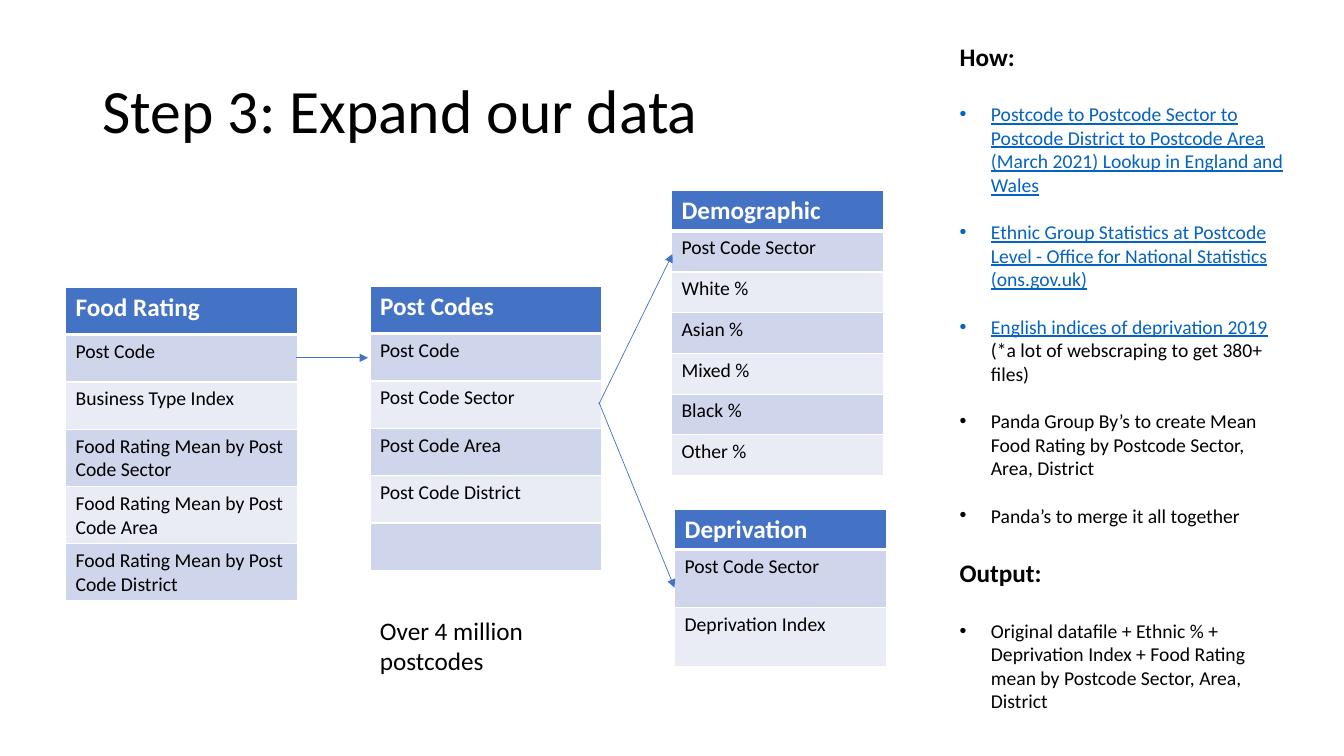
"""Build the slide that shows how the food rating data is expanded."""
from dataclasses import dataclass

from lxml import etree
from pptx import Presentation
from pptx.dml.color import RGBColor
from pptx.enum.shapes import MSO_CONNECTOR
from pptx.enum.text import MSO_ANCHOR
from pptx.oxml.ns import qn
from pptx.util import Inches, Pt

BLACK = RGBColor(0x00, 0x00, 0x00)
WHITE = RGBColor(0xFF, 0xFF, 0xFF)
BLUE = RGBColor(0x44, 0x72, 0xC4)
LINK = RGBColor(0x05, 0x63, 0xC1)
BANDS = (RGBColor(0xCF, 0xD5, 0xEA), RGBColor(0xE9, 0xEB, 0xF5))
FONT = "Calibri"
STRAIGHT = MSO_CONNECTOR.STRAIGHT
MIDDLE = MSO_ANCHOR.MIDDLE
TOP = MSO_ANCHOR.TOP


@dataclass(frozen=True)
class Span:
    text: str
    size: int = 14
    color: RGBColor = BLACK
    bold: bool = False
    underline: bool = False


@dataclass(frozen=True)
class Para:
    spans: tuple[Span, ...]
    space_before: float = 0
    bullet: bool = False
    line_spacing: float = 1


@dataclass(frozen=True)
class TextBlock:
    left: float
    top: float
    width: float
    height: float
    paras: tuple[Para, ...]
    anchor: MSO_ANCHOR = TOP


@dataclass(frozen=True)
class DataTable:
    left: float
    top: float
    width: float
    header_height: float
    row_height: float
    name: str
    fields: tuple[str, ...]


@dataclass(frozen=True)
class Arrow:
    start: tuple[float, float]
    end: tuple[float, float]


def heading(text: str, space_before: float = 0) -> Para:
    """Return a bold heading paragraph."""
    return Para((Span(text, 18, bold=True),), space_before)


def item(*spans: Span, space_before: float = 17) -> Para:
    """Return a bulleted paragraph."""
    return Para(spans, space_before, bullet=True)


def link(text: str) -> Span:
    """Return a span styled as a source reference."""
    return Span(text, color=LINK, underline=True)


TEXT_BLOCKS = (
    TextBlock(0.92, 0.4, 11.5, 1.45,
              (Para((Span("Step 3: Expand our data", 44),), line_spacing=0.9),), MIDDLE),
    TextBlock(9.42, 0.36, 3.44, 6.93, (
        heading("How:"),
        item(link("Postcode to Postcode Sector to Postcode District to Postcode Area "
                  "(March 2021) Lookup in England and Wales"), space_before=22),
        item(link("Ethnic Group Statistics at Postcode Level - "
                  "Office for National Statistics (ons.gov.uk)")),
        item(link("English indices of deprivation 2019"),
             Span(" (*a lot of webscraping to get 380+ files)")),
        item(Span("Panda Group By’s to create Mean Food Rating by Postcode Sector, "
                  "Area, District")),
        item(Span("Panda’s to merge it all together")),
        heading("Output:", 22),
        item(Span("Original datafile + Ethnic % + Deprivation Index + Food Rating mean "
                  "by Postcode Sector, Area, District"), space_before=22),
    )),
    TextBlock(3.67, 6.05, 2.27, 0.71, (Para((Span("Over 4 million postcodes", 18),)),)),
)

TABLES = (
    DataTable(3.67, 2.84, 2.3, 0.47, 0.47, "Post Codes",
              ("Post Code", "Post Code Sector", "Post Code Area", "Post Code District", "")),
    DataTable(6.66, 1.89, 2.1, 2.83 / 7, 2.83 / 7, "Demographic",
              ("Post Code Sector", "White %", "Asian %", "Mixed %", "Black %", "Other %")),
    DataTable(6.69, 5.05, 2.1, 0.4, 0.58, "Deprivation",
              ("Post Code Sector", "Deprivation Index")),
    DataTable(0.65, 2.85, 2.3, 0.47, 0.47, "Food Rating",
              ("Post Code", "Business Type Index", "Food Rating Mean by Post Code Sector",
               "Food Rating Mean by Post Code Area", "Food Rating Mean by Post Code District")),
)

ARROWS = (
    Arrow((2.94, 3.55), (3.65, 3.55)),
    Arrow((5.94, 4.01), (6.67, 2.52)),
    Arrow((5.94, 3.99), (6.69, 5.83)),
)


def add_span(paragraph, span: Span) -> None:
    """Add one formatted run to a paragraph."""
    run = paragraph.add_run()
    run.text = span.text
    run.font.name = FONT
    run.font.size = Pt(span.size)
    run.font.color.rgb = span.color
    run.font.bold = span.bold
    run.font.underline = span.underline


def add_text_block(page, block: TextBlock) -> None:
    """Draw a wrapped text box with its paragraphs."""
    box = page.shapes.add_textbox(Inches(block.left), Inches(block.top),
                                  Inches(block.width), Inches(block.height))
    frame = box.text_frame
    frame.word_wrap = True
    frame.vertical_anchor = block.anchor
    for index, para in enumerate(block.paras):
        paragraph = frame.add_paragraph() if index else frame.paragraphs[0]
        paragraph.space_before = Pt(para.space_before)
        paragraph.line_spacing = para.line_spacing
        if para.bullet:
            properties = paragraph._p.get_or_add_pPr()
            properties.set("marL", str(Inches(0.31)))
            properties.set("indent", str(-Inches(0.31)))
            etree.SubElement(properties, qn("a:buFont"), typeface="Arial")
            etree.SubElement(properties, qn("a:buChar"), char="•")
        for span in para.spans:
            add_span(paragraph, span)


def set_borders(cell, top: int, bottom: int) -> None:
    """Give a cell white borders, with the given top and bottom widths in points."""
    properties = cell._tc.get_or_add_tcPr()
    widths = {"a:lnL": 1, "a:lnR": 1, "a:lnT": top, "a:lnB": bottom}
    for position, (tag, width) in enumerate(widths.items()):
        border = etree.Element(qn(tag), w=str(Pt(width)))
        fill = etree.SubElement(border, qn("a:solidFill"))
        etree.SubElement(fill, qn("a:srgbClr"), val=str(WHITE))
        properties.insert(position, border)


def add_data_table(page, data: DataTable) -> None:
    """Draw a one-column table with a header and banded fields."""
    height = data.header_height + data.row_height * len(data.fields)
    frame = page.shapes.add_table(len(data.fields) + 1, 1, Inches(data.left), Inches(data.top),
                                  Inches(data.width), Inches(height))
    table = frame.table
    table.horz_banding = False
    for index, text in enumerate((data.name, *data.fields)):
        header = index == 0
        table.rows[index].height = Inches(data.header_height if header else data.row_height)
        cell = table.cell(index, 0)
        cell.fill.solid()
        cell.fill.fore_color.rgb = BLUE if header else BANDS[(index - 1) % 2]
        set_borders(cell, 3 if index == 1 else 1, 3 if header else 1)
        if text:
            span = Span(text, 18, WHITE, bold=True) if header else Span(text)
            add_span(cell.text_frame.paragraphs[0], span)


def add_arrow(page, arrow: Arrow) -> None:
    """Draw a thin line with a triangle at its end."""
    start, end = (tuple(map(Inches, point)) for point in (arrow.start, arrow.end))
    connector = page.shapes.add_connector(STRAIGHT, *start, *end)
    connector.line.color.rgb = BLUE
    connector.line.width = Pt(0.5)
    etree.SubElement(connector.line._get_or_add_ln(), qn("a:tailEnd"), type="triangle")
    etree.SubElement(connector._element.spPr, qn("a:effectLst"))


def main() -> None:
    """Build and save the deck."""
    deck = Presentation()
    deck.slide_width, deck.slide_height = Inches(13.33), Inches(7.5)
    page = deck.slides.add_slide(deck.slide_layouts[6])
    for block in TEXT_BLOCKS:
        add_text_block(page, block)
    for data in TABLES:
        add_data_table(page, data)
    for arrow in ARROWS:
        add_arrow(page, arrow)
    deck.save("out.pptx")


if __name__ == "__main__":
    main()
